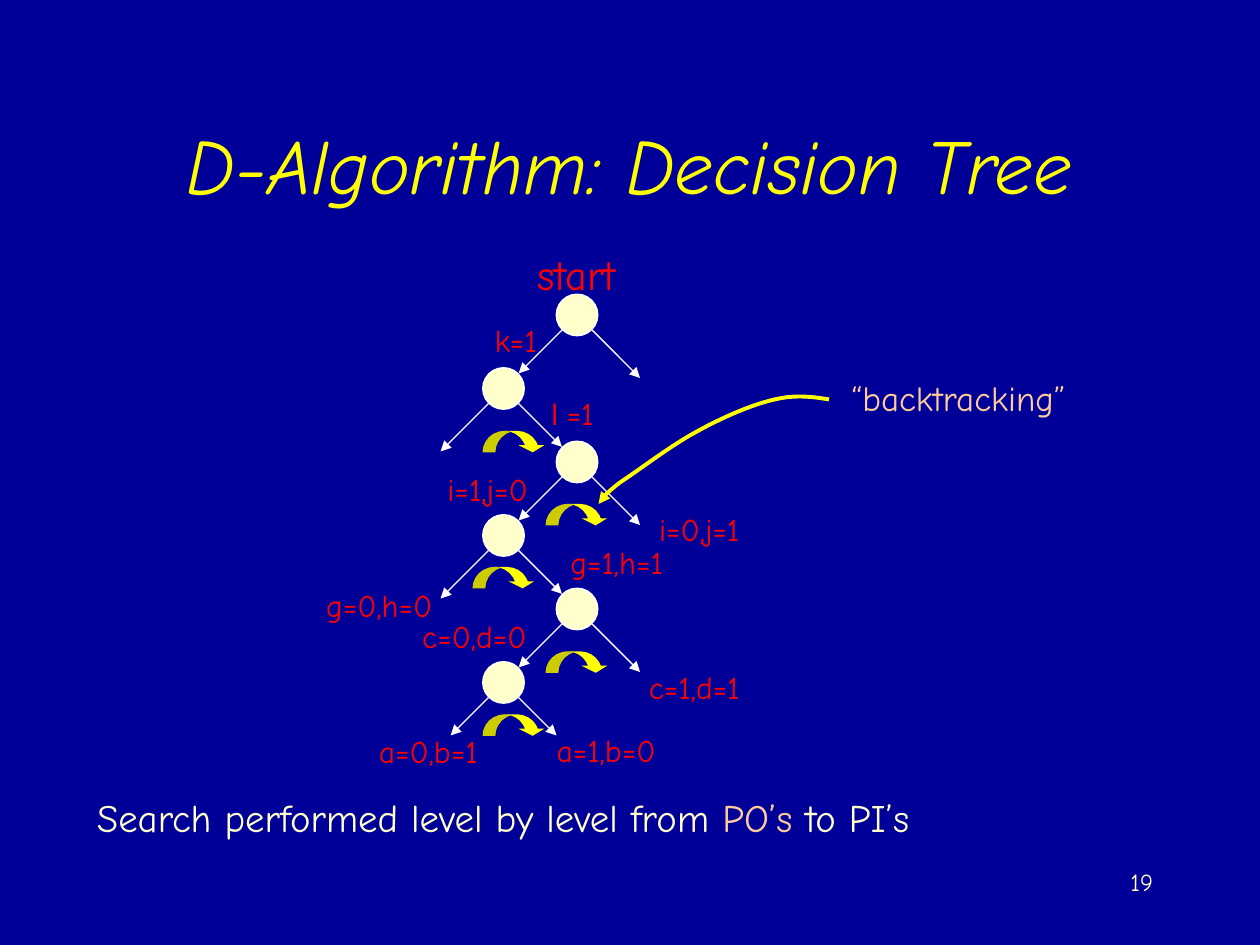
from lxml.etree import SubElement
from pptx import Presentation
from pptx.dml.color import RGBColor
from pptx.enum.shapes import MSO_CONNECTOR, MSO_SHAPE
from pptx.enum.text import MSO_ANCHOR, PP_ALIGN
from pptx.oxml.ns import qn
from pptx.util import Inches, Pt

NAVY = RGBColor(0x00, 0x00, 0x99)
YELLOW = RGBColor(0xFF, 0xFF, 0x00)
CREAM = RGBColor(0xFF, 0xFF, 0xCC)
PEACH = RGBColor(0xFF, 0xCC, 0x99)
RED = RGBColor(0xFF, 0x00, 0x00)
WHITE = RGBColor(0xFF, 0xFF, 0xFF)
FONT, LETTER_FONT = "Comic Neue", "Karla"

TITLE = [("D-Algorithm: Decision Tree", YELLOW, FONT)]
SUMMARY = [("Search performed level by level from ", CREAM, FONT),
           ("PO’s", PEACH, FONT), (" to PI’s", CREAM, FONT)]
BACKTRACKING = [("“backtracking”", PEACH, FONT)]
PAGE_NUMBER = [("19", CREAM, FONT)]

# Decisions: text, left, top, width
DECISIONS = [
    ("k=1", 3.83, 2.5, 0.53),
    ("i=0,j=1", 5.13, 4.0, 0.84),
    ("i=1,j=0", 3.45, 3.68, 0.84),
    ("g=0,h=0", 2.49, 4.6, 1.04),
    ("a=0,b=1", 2.91, 5.76, 0.98),
    ("a=1,b=0", 4.32, 5.75, 0.98),
    ("c=1,d=1", 5.05, 5.25, 0.92),
    ("g=1,h=1", 4.43, 4.26, 0.93),
    ("c=0,d=0", 3.25, 4.85, 1.03),
]
LABEL_SLACK = 0.1

# Tree: nodes zigzag downwards, one step across and one step down each
LEVELS = 6
ROOT_X, ROOT_Y = 4.58, 2.5
STEP = 3.5 / 6
NODE_SIZE = 0.33
EDGE_INSET = 0.12
LEAF_REACH, LAST_REACH = 0.38, 0.3

# Backtracking turns: left, top
TURNS = [(3.83, 3.42), (4.33, 4.0), (3.75, 4.5), (3.83, 5.67), (4.33, 5.17)]
TURN_SIZE = (0.5, 0.17)
TURN_ADJUSTMENTS = (0.6, 1.2, 0.33)

# Pointer: start, then two control points and an end for each curve
POINTER_START = (6.58, 3.17)
POINTER_CURVES = [
    ((6.45, 3.15), (6.32, 3.13), (6.15, 3.17)),
    ((5.97, 3.21), (5.74, 3.31), (5.54, 3.42)),
    ((5.33, 3.53), (5.06, 3.74), (4.92, 3.83)),
    ((4.79, 3.93), (4.77, 3.97), (4.75, 4.0)),
]
CURVE_STEPS = 10

prs = Presentation()
prs.slide_width, prs.slide_height = Inches(10), Inches(7.5)
slide = prs.slides.add_slide(prs.slide_layouts[6])
slide.background.fill.solid()
slide.background.fill.fore_color.rgb = NAVY
shapes = slide.shapes


def add_text(runs, left, top, width, height, size, align=PP_ALIGN.LEFT,
             anchor=MSO_ANCHOR.TOP, wrap=True, italic=False):
    box = shapes.add_textbox(*map(Inches, (left, top, width, height)))
    frame = box.text_frame
    frame.word_wrap = wrap
    frame.vertical_anchor = anchor
    paragraph = frame.paragraphs[0]
    paragraph.alignment = align
    for text, color, font in runs:
        run = paragraph.add_run()
        run.text = text
        run.font.name, run.font.size = font, Pt(size)
        run.font.color.rgb = color
        run.font.italic = italic


def add_tree_label(runs, left, top, width, height=0.4, size=18):
    """Centred label, with some slack on both sides so that it keeps to one line."""
    add_text(runs, left - LABEL_SLACK, top, width + 2 * LABEL_SLACK, height, size,
             PP_ALIGN.CENTER, MSO_ANCHOR.MIDDLE, wrap=False)


def style_line(line, color, width):
    line.color.rgb = color
    line.width = Pt(width)


def add_arrowhead(line):
    SubElement(line._get_or_add_ln(), qn("a:tailEnd"), type="triangle")


def add_edge(x, y, side, reach):
    """Arrow from a node centred at x, y, diagonally down to the given side."""
    start_x, start_y = x + side * EDGE_INSET, y + EDGE_INSET
    edge = shapes.add_connector(MSO_CONNECTOR.STRAIGHT, *map(Inches, (
        start_x, start_y, start_x + side * reach, start_y + reach)))
    style_line(edge.line, WHITE, 0.75)
    add_arrowhead(edge.line)
    SubElement(edge._element.spPr, qn("a:effectLst"))


def curve_points(start, curves):
    """Points along a chain of cubic Bezier curves, as lengths."""
    for first, second, end in curves:
        for i in range(1, CURVE_STEPS + 1):
            t = i / CURVE_STEPS
            u = 1 - t
            yield tuple(
                Inches(u**3 * a + 3 * u * u * t * b + 3 * u * t * t * c + t**3 * d)
                for a, b, c, d in zip(start, first, second, end))
        start = end


add_text(TITLE, 0.75, 0.67, 8.5, 1.25, 44, PP_ALIGN.CENTER, MSO_ANCHOR.MIDDLE,
         italic=True)
add_text(SUMMARY, 0.67, 6.25, 8.92, 0.5, 22.2)

nodes = [(ROOT_X - level % 2 * STEP, ROOT_Y + level * STEP)
         for level in range(LEVELS)]
for x, y in nodes:
    node = shapes.add_shape(MSO_SHAPE.FLOWCHART_CONNECTOR, *map(Inches, (
        x - NODE_SIZE / 2, y - NODE_SIZE / 2, NODE_SIZE, NODE_SIZE)))
    node.shadow.inherit = False
    node.fill.solid()
    node.fill.fore_color.rgb = CREAM
    style_line(node.line, WHITE, 0.75)

for level, (x, y) in enumerate(nodes):
    inward = 1 if level % 2 else -1
    last = level == LEVELS - 1
    add_edge(x, y, inward, LAST_REACH if last else STEP - 2 * EDGE_INSET)
    add_edge(x, y, -inward, LAST_REACH if last else LEAF_REACH)

add_tree_label([("start", RED, FONT)], 4.16, 1.92, 0.83, 0.5, 24)
add_tree_label([("l ", RED, LETTER_FONT), ("=1", RED, FONT)], 4.27, 3.08, 0.54)
for text, left, top, width in DECISIONS:
    add_tree_label([(text, RED, FONT)], left, top, width)

add_text(BACKTRACKING, 6.66, 2.94, 1.9, 0.44, 20, wrap=False)
builder = shapes.build_freeform(*map(Inches, POINTER_START))
builder.add_line_segments(curve_points(POINTER_START, POINTER_CURVES), close=False)
pointer = builder.convert_to_shape()
pointer.shadow.inherit = False
pointer.fill.background()
style_line(pointer.line, YELLOW, 2.25)
add_arrowhead(pointer.line)

for position in TURNS:
    turn = shapes.add_shape(MSO_SHAPE.CURVED_DOWN_ARROW,
                            *map(Inches, position + TURN_SIZE))
    for i, value in enumerate(TURN_ADJUSTMENTS):
        turn.adjustments[i] = value
    turn.shadow.inherit = False
    turn.fill.solid()
    turn.fill.fore_color.rgb = YELLOW
    turn.line.fill.background()

add_text(PAGE_NUMBER, 7.17, 6.83, 2.08, 0.5, 14, PP_ALIGN.RIGHT)

prs.save("out.pptx")
